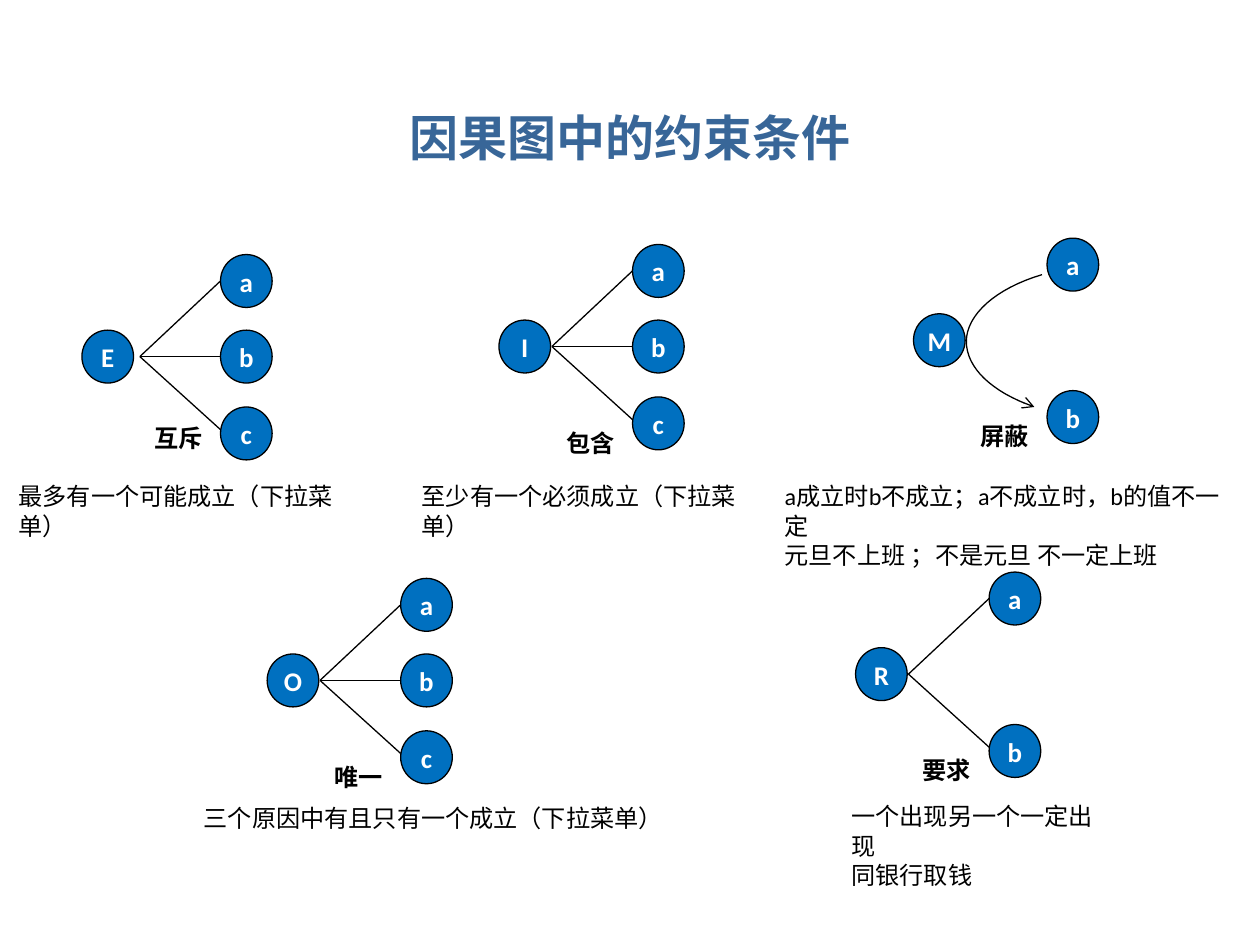
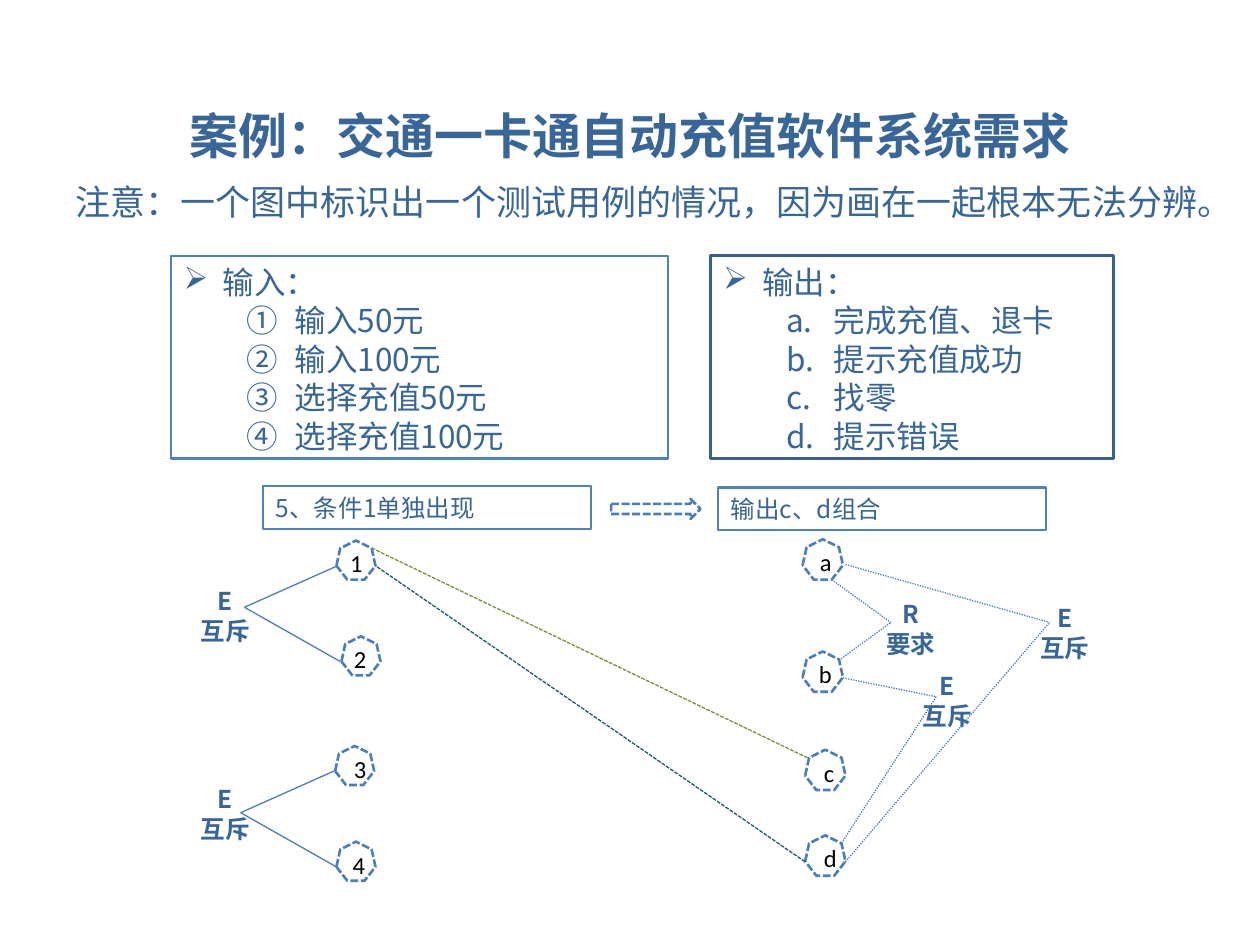
from dataclasses import dataclass

from lxml import etree
from pptx import Presentation
from pptx import util as u
from pptx.dml.color import RGBColor
from pptx.enum import dml, shapes, text
from pptx.oxml import ns


@dataclass(frozen=True)
class Theme:
    ink: str = "386698"
    black: str = "000000"
    white: str = "FFFFFF"
    node: str = "0070C0"
    frame: str = "4F81BD"
    dark_frame: str = "3A5F8C"
    link: str = "4B7EBC"
    teal: str = "215968"
    olive: str = "77933C"
    latin: str = "Calibri"
    title_font: str = "Noto Sans"
    cjk: str = "Noto Sans CJK SC"
    title: float = 28
    note: float = 20
    items: float = 18
    node_size: float = 15.4
    caption: float = 13.8
    small: float = 14
    leading: float = 1.22
    title_leading: float = 1.32


THEME = Theme()
CENTER = text.PP_ALIGN.CENTER
DASH = dml.MSO_LINE.SQUARE_DOT
DOT = dml.MSO_LINE.ROUND_DOT
SHAPE = shapes.MSO_SHAPE

# Text formats
TITLE = dict(name=THEME.title_font, size=THEME.title, color=THEME.ink, bold=True)
NOTE = dict(name=THEME.cjk, size=THEME.note, color=THEME.ink)
ITEMS = dict(name=THEME.cjk, size=THEME.items, color=THEME.ink)
SMALL = dict(name=THEME.cjk, size=THEME.small, color=THEME.ink)
RELATION = dict(SMALL, bold=True)
DIGIT = dict(name=THEME.latin, size=THEME.small, color=THEME.black)
NODE = dict(name=THEME.latin, size=THEME.node_size, color=THEME.white, bold=True)
CAPTION = dict(name=THEME.latin, size=THEME.caption, color=THEME.black)
LABEL = dict(CAPTION, bold=True)


def inches(*values):
    return [u.Inches(value) for value in values]


def add_xml(parent, tag, **attributes):
    return etree.SubElement(parent, ns.qn(tag), attributes)


def set_format(target, values):
    for name, value in values.items():
        setattr(target, name, value)


# Text
def write(box, lines, style, align=None, leading=THEME.leading, **frame_values):
    frame = box.text_frame
    set_format(frame, {"word_wrap": True, **frame_values})
    for index, line in enumerate(lines):
        para = frame.paragraphs[0] if index == 0 else frame.add_paragraph()
        set_format(para, {"alignment": align,
                          "line_spacing": u.Pt(round(style["size"] * leading, 1))})
        span = para.add_run()
        span.text = line
        set_format(span.font, {"name": style["name"], "size": u.Pt(style["size"]),
                               "bold": style.get("bold", False)})
        span.font.color.rgb = RGBColor.from_string(style["color"])
        add_xml(span.font._element, "a:ea", typeface=THEME.cjk)


def add_text(parent, at, lines, style, **options):
    box = parent.shapes.add_textbox(*inches(*at))
    write(box, lines, style, **options)
    return box


def add_title(page, top, height, words):
    add_text(page, (0.5, top, 9, height), [words], TITLE, align=CENTER,
             leading=THEME.title_leading)


# Shapes and lines
def set_line(line, color, width, dash=None):
    line.color.rgb = RGBColor.from_string(color)
    set_format(line, {"width": u.Pt(width), "dash_style": dash})


def add_box(parent, kind, at, fill=None, line=None):
    box = parent.shapes.add_shape(kind, *inches(*at))
    box.shadow.inherit = False
    if fill:
        box.fill.solid()
        box.fill.fore_color.rgb = RGBColor.from_string(fill)
    else:
        box.fill.background()
    if line:
        set_line(box.line, *line)
    else:
        box.line.fill.background()
    return box


def add_line(parent, start, end, color, dash=None):
    line = parent.shapes.add_connector(shapes.MSO_CONNECTOR.STRAIGHT,
                                       *inches(*start, *end))
    set_line(line.line, color, 0.75, dash)
    add_xml(line._element.spPr, "a:effectLst")


# Constraint diagrams
def add_node(group, left, top, letter):
    node = add_box(group, SHAPE.OVAL, (left, top, 0.41, 0.42), THEME.node,
                   (THEME.black, 0.75))
    write(node, [letter], NODE, align=CENTER, word_wrap=False,
          vertical_anchor=text.MSO_ANCHOR.MIDDLE)


def bezier(start, first, second, end, steps=16):
    for step in range(1, steps + 1):
        t = step / steps
        weights = ((1 - t) ** 3, 3 * t * (1 - t) ** 2, 3 * t * t * (1 - t), t ** 3)
        yield tuple(sum(w * point[axis] for w, point
                        in zip(weights, (start, first, second, end)))
                    for axis in (0, 1))


def add_curved_arrow(group, left, top):
    """Arc from the upper leaf past the hub to the lower leaf."""
    def place(*points):
        return [(left + x, top + y) for x, y in points]

    upper = place((0.6, 0), (0.23, 0.11), (0, 0.32), (0, 0.53))
    lower = place((0, 0.53), (0, 0.74), (0.2, 0.93), (0.54, 1.05))
    points = [*bezier(*upper), *bezier(*lower)]
    builder = group.shapes.build_freeform(*inches(*upper[0]))
    builder.add_line_segments([inches(*point) for point in points], close=False)
    arc = builder.convert_to_shape()
    arc.shadow.inherit = False
    arc.fill.background()
    set_line(arc.line, THEME.black, 0.75)
    add_xml(arc.line._ln, "a:tailEnd", type="arrow")


def add_constraint(page, hub, name, leaf_left, top, leaves, hub_gap=1.06,
                   curved=False, label_lift=0):
    group = page.shapes.add_group_shape()
    join = (leaf_left - 0.64, top + 0.21)
    offsets = (-0.6, 0, 0.61) if len(leaves) == 3 else (-0.6, 0.61)
    add_node(group, leaf_left - hub_gap, top, hub)
    for letter, offset in zip(leaves, offsets):
        add_node(group, leaf_left, top + offset, letter)
        if not curved:
            reach = 0.18 if offset > 0 else 0.21
            add_line(group, (leaf_left, top + offset + reach), join, THEME.black)
    label = add_box(group, SHAPE.RECTANGLE, (join[0], top + 0.82, 0.61, 0.3),
                    THEME.white)
    write(label, [name], LABEL, align=CENTER, margin_top=0,
          margin_bottom=u.Inches(2 * label_lift),
          vertical_anchor=text.MSO_ANCHOR.MIDDLE)
    if curved:
        add_curved_arrow(group, join[0], top - 0.31)


def build_constraints(page):
    add_title(page, 0.76, 0.6, "因果图中的约束条件")
    add_constraint(page, "I", "包含", 5.02, 2.54, "abc")
    add_constraint(page, "O", "唯一", 3.18, 5.19, "abc")
    add_constraint(page, "R", "要求", 7.85, 5.14, "ab")
    add_constraint(page, "E", "互斥", 1.75, 2.62, "abc", hub_gap=1.1, label_lift=0.12)
    captions = [
        ((0.05, 3.77, 3.1, 0.33), ["最多有一个可能成立（下拉菜单）"]),
        ((3.25, 3.77, 3.1, 0.33), ["至少有一个必须成立（下拉菜单）"]),
        ((6.13, 3.77, 3.87, 0.57), ["a成立时b不成立；a不成立时，b的值不一定",
                                    "元旦不上班 ；不是元旦 不一定上班"]),
        ((1.52, 6.32, 3.87, 0.33), ["三个原因中有且只有一个成立（下拉菜单）"]),
        ((6.66, 6.31, 2.32, 0.57), ["一个出现另一个一定出现", "同银行取钱"]),
    ]
    for at, lines in captions:
        add_text(page, at, lines, CAPTION, margin_right=u.Inches(0.13))
    add_constraint(page, "M", "屏蔽", 8.31, 2.49, "ab", curved=True)


# Case diagram
def add_condition(group, letter, left, top, text_left, size):
    add_text(group, (text_left, top + 0.01, 0.24, 0.34), [letter], DIGIT)
    add_box(group, SHAPE.HEPTAGON, (left, top, size, size),
            line=(THEME.link, 1.5, DASH))


def add_relation(group, left, top, letter, name):
    add_text(group, (left, top, 0.62, 0.57), [letter, name], RELATION, align=CENTER)


def add_list(page, left, width, heading, entries, numbering, line):
    box = add_box(page, SHAPE.RECTANGLE, (left, 2.03, width, 1.61), THEME.white, line)
    write(box, [heading, *entries], ITEMS, align=text.PP_ALIGN.LEFT,
          vertical_anchor=text.MSO_ANCHOR.TOP)
    for index, para in enumerate(box.text_frame.paragraphs):
        para.level = min(index, 1)
        indent, hang = (0.88, 0.38) if index else (0.31, 0.31)
        values = para._p.get_or_add_pPr()
        values.set("marL", str(u.Inches(indent)))
        values.set("indent", str(-u.Inches(hang)))
        if index:
            add_xml(values, "a:buAutoNum", type=numbering)
        else:
            add_xml(values, "a:buChar", char="➢")


def add_strip(page, left, top, words):
    box = add_box(page, SHAPE.RECTANGLE, (left, top, 2.6, 0.34), THEME.white,
                  (THEME.frame, 1.25))
    write(box, [words], SMALL, align=text.PP_ALIGN.LEFT,
          vertical_anchor=text.MSO_ANCHOR.TOP)


def build_case(page):
    add_title(page, 0.74, 0.64, "案例：交通一卡通自动充值软件系统需求")
    add_text(page, (0.5, 1.38, 9.28, 0.44),
             ["注意：一个图中标识出一个测试用例的情况，因为画在一起根本无法分辨。"], NOTE)

    # Inputs, in two exclusive pairs
    inputs = page.shapes.add_group_shape()
    for top in (4.6, 6.17):
        add_relation(inputs, 1.48, top, "E", "互斥")
    for condition in (("1", 2.67, 4.29, 2.68), ("2", 2.71, 5.05, 2.71),
                      ("3", 2.66, 5.92, 2.71), ("4", 2.67, 6.68, 2.7)):
        add_condition(inputs, *condition, 0.31)
    for join, ends in (((1.94, 4.82), ((2.68, 4.49), (2.7, 5.25))),
                       ((1.91, 6.45), ((2.65, 6.12), (2.67, 6.88)))):
        for end in ends:
            add_line(inputs, join, end, THEME.link)

    # Outputs and their relations
    outputs = page.shapes.add_group_shape()
    for condition in (("a", 6.37, 4.28, 6.41), ("b", 6.37, 5.17, 6.4),
                      ("c", 6.39, 5.95, 6.44), ("d", 6.39, 6.63, 6.44)):
        add_condition(outputs, *condition, 0.32)
    for relation in ((6.92, 4.7, "R", "要求"), (7.21, 5.27, "E", "互斥"),
                     (8.14, 4.73, "E", "互斥")):
        add_relation(outputs, *relation)
    for join, starts in (((8.33, 4.94), ((6.71, 4.48), (6.71, 6.84))),
                         ((7.07, 4.94), ((6.6, 4.6), (6.66, 5.24))),
                         ((7.43, 5.53), ((6.69, 5.38), (6.68, 6.69)))):
        for start in starts:
            add_line(outputs, start, join, THEME.link, DOT)

    # Input 1 leads to outputs c and d
    add_line(page, (6.39, 6.84), (2.98, 4.49), THEME.teal, DASH)
    add_line(page, (2.95, 4.35), (6.42, 6.02), THEME.olive, DASH)
    add_strip(page, 2.09, 3.86, "5、条件1单独出现")
    add_strip(page, 5.7, 3.87, "输出c、d组合")
    add_box(page, SHAPE.RIGHT_ARROW, (4.85, 3.96, 0.71, 0.16),
            line=(THEME.link, 1.5, DASH))

    # Lists
    add_list(page, 1.36, 3.94, "输入：",
             ["输入50元", "输入100元", "选择充值50元", "选择充值100元"],
             "circleNumDbPlain", (THEME.frame, 1.25))
    add_list(page, 5.64, 3.2, "输出：",
             ["完成充值、退卡", "提示充值成功", "找零", "提示错误"],
             "alphaLcPeriod", (THEME.dark_frame, 1.5))


def main():
    deck = Presentation()
    set_format(deck, {"slide_width": u.Inches(10), "slide_height": u.Inches(7.5)})
    for build in (build_constraints, build_case):
        build(deck.slides.add_slide(deck.slide_layouts[6]))
    deck.save("out.pptx")


main()
